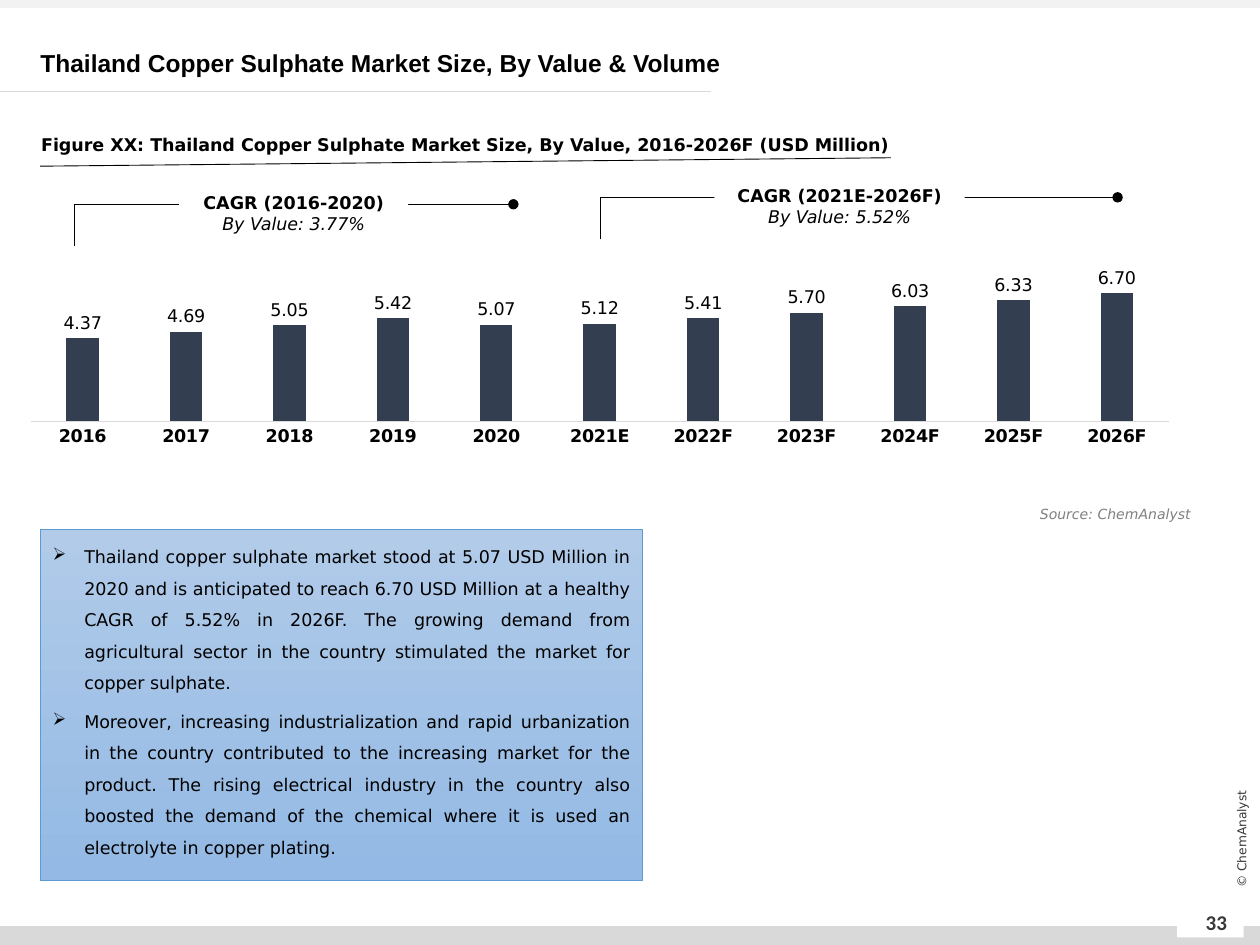
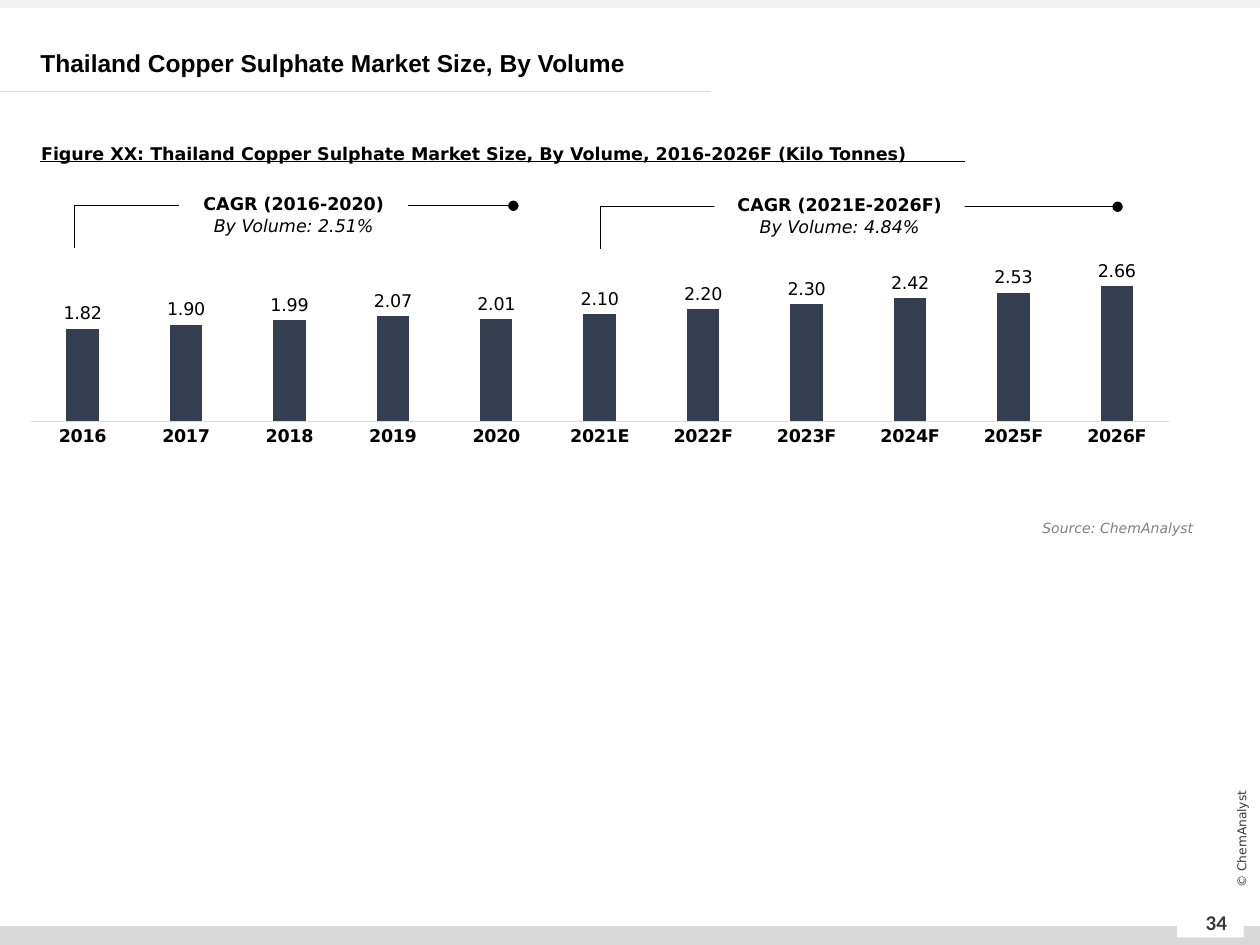
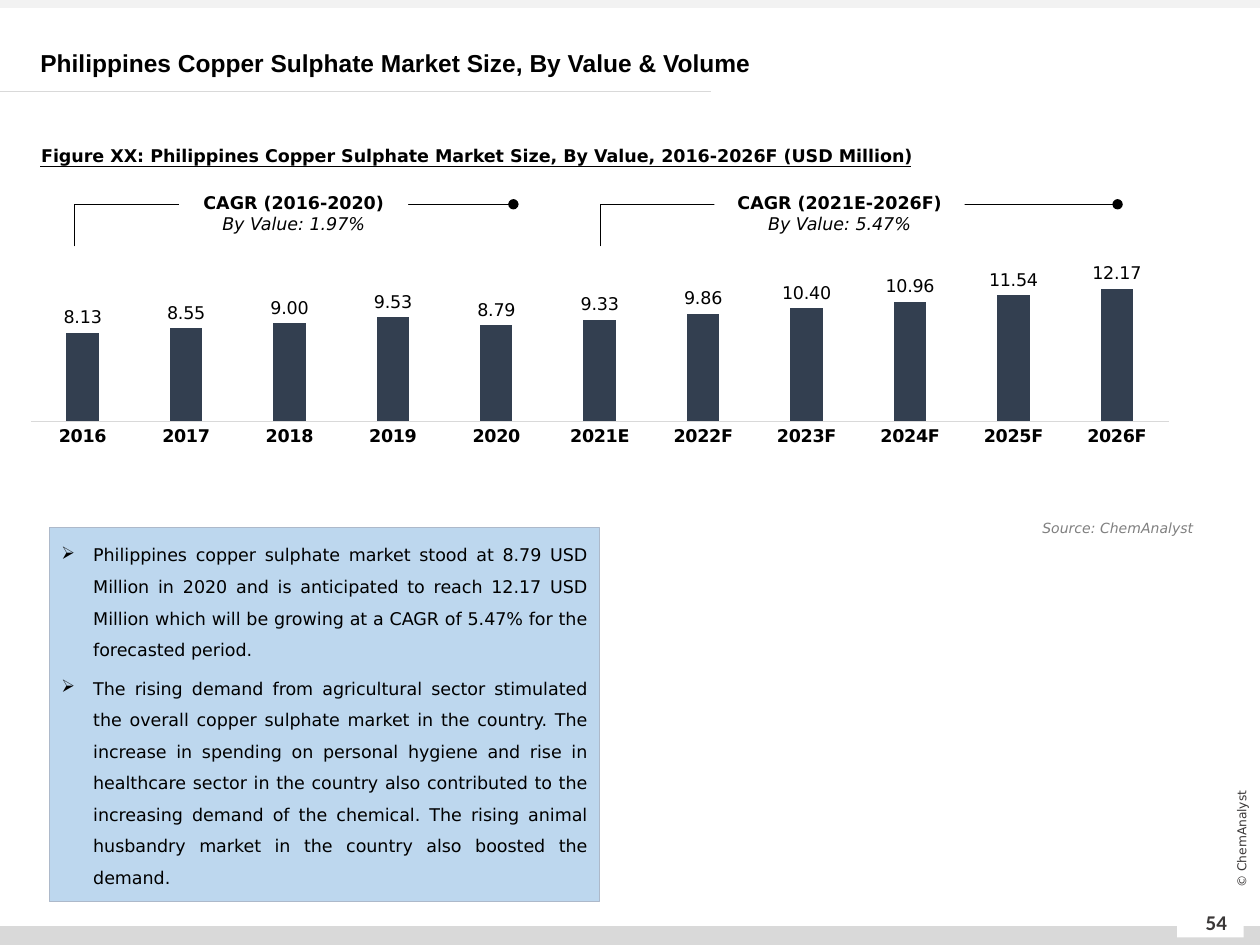
"""Build three slides on copper sulphate market size."""
from dataclasses import dataclass
from typing import Optional

from lxml.etree import SubElement
from pptx import Presentation
from pptx.chart.data import CategoryChartData
from pptx.dml.color import RGBColor
from pptx.enum.chart import XL_CHART_TYPE, XL_LABEL_POSITION, XL_TICK_MARK
from pptx.enum.shapes import MSO_CONNECTOR, MSO_SHAPE
from pptx.enum.text import MSO_ANCHOR, PP_ALIGN
from pptx.oxml import parse_xml
from pptx.oxml.ns import nsdecls, qn
from pptx.util import Cm, Pt

BLACK = RGBColor(0x00, 0x00, 0x00)
WHITE = RGBColor(0xFF, 0xFF, 0xFF)
CHARCOAL = RGBColor(0x3B, 0x38, 0x38)
GREY = RGBColor(0x80, 0x80, 0x80)
BAND_GREY = RGBColor(0xD9, 0xD9, 0xD9)
PALE_GREY = RGBColor(0xF2, 0xF2, 0xF2)
NAVY = RGBColor(0x33, 0x3F, 0x50)
SKY = RGBColor(0xBD, 0xD7, 0xEE)
SKY_EDGE = RGBColor(0xAD, 0xB9, 0xCA)
BLUE_TOP = RGBColor(0xB1, 0xCB, 0xE9)
BLUE_BOTTOM = RGBColor(0x93, 0xB9, 0xE4)
BLUE_EDGE = RGBColor(0x5B, 0x9B, 0xD5)

BODY_FONT = "DejaVu Sans"
TITLE_FONT = "Arial"
NUMBER_FONT = "Calibri"
YEARS = ["2016", "2017", "2018", "2019", "2020", "2021E",
         "2022F", "2023F", "2024F", "2025F", "2026F"]
BRACKET_HEIGHT = 0.85
LABEL_RISE = 0.55
LABEL_HEIGHT = 1.45


@dataclass(frozen=True)
class Area:
    """A rectangle in centimetres."""
    left: float
    top: float
    width: float
    height: float

    def lengths(self) -> tuple:
        """Return left, top, width and height as lengths."""
        return Cm(self.left), Cm(self.top), Cm(self.width), Cm(self.height)


@dataclass(frozen=True)
class Period:
    """A growth period with its bracket and label extents."""
    heading: str
    start: float
    end: float
    label_left: float
    label_width: float


@dataclass(frozen=True)
class Growth:
    """A growth rate shown above the bars."""
    period: Period
    rate: str
    top: float


@dataclass(frozen=True)
class Note:
    """A bulleted commentary panel."""
    area: Area
    fills: tuple
    edge: RGBColor
    points: tuple


@dataclass(frozen=True)
class MarketPage:
    """Everything that differs between the market slides."""
    number: str
    title: str
    caption: str
    caption_top: float
    rule: tuple
    values: tuple
    axis_top: float
    growths: tuple
    source: Area
    note: Optional[Note] = None


EARLY = Period("CAGR (2016-2020)", 1.5, 10.35, 3.61, 4.62)
LATE = Period("CAGR (2021E-2026F)", 12.1, 22.53, 14.4, 5.05)
LOW_SOURCE = Area(18.19, 10.34, 6.12, 0.61)

PAGES = [
    MarketPage(
        "33", "Thailand Copper Sulphate Market Size, By Value & Volume",
        "Figure XX: Thailand Copper Sulphate Market Size, By Value, 2016-2026F (USD Million)",
        2.36, (0.81, 3.35, 17.96, 3.18),
        (4.37, 4.69, 5.05, 5.42, 5.07, 5.12, 5.41, 5.7, 6.03, 6.33, 6.7), 8,
        (Growth(LATE, "By Value: 5.52%", 3.98), Growth(EARLY, "By Value: 3.77%", 4.12)),
        Area(18.14, 10.06, 6.12, 0.61),
        Note(Area(0.81, 10.67, 12.14, 7.09), (BLUE_TOP, BLUE_BOTTOM), BLUE_EDGE, (
            "Thailand copper sulphate market stood at 5.07 USD Million in 2020 and is "
            "anticipated to reach 6.70 USD Million at a healthy CAGR of 5.52% in 2026F. "
            "The growing demand from agricultural sector in the country stimulated the "
            "market for copper sulphate.",
            "Moreover, increasing industrialization and rapid urbanization in the country "
            "contributed to the increasing market for the product. The rising electrical "
            "industry in the country also boosted the demand of the chemical where it is "
            "used an electrolyte in copper plating.")),
    ),
    MarketPage(
        "34", "Thailand Copper Sulphate Market Size, By Volume",
        "Figure XX: Thailand Copper Sulphate Market Size, By Volume, 2016-2026F (Kilo Tonnes)",
        2.54, (0.81, 3.25, 19.45, 3.25),
        (1.82, 1.9, 1.99, 2.07, 2.01, 2.1, 2.2, 2.3, 2.42, 2.53, 2.66), 3,
        (Growth(LATE, "By Volume: 4.84%", 4.17), Growth(EARLY, "By Volume: 2.51%", 4.15)),
        LOW_SOURCE,
    ),
    MarketPage(
        "54", "Philippines Copper Sulphate Market Size, By Value & Volume",
        "Figure XX: Philippines Copper Sulphate Market Size, By Value, 2016-2026F (USD Million)",
        2.59, (0.81, 3.35, 18.36, 3.35),
        (8.13, 8.55, 9, 9.53, 8.79, 9.33, 9.86, 10.4, 10.96, 11.54, 12.17), 14,
        (Growth(LATE, "By Value: 5.47%", 4.12), Growth(EARLY, "By Value: 1.97%", 4.12)),
        LOW_SOURCE,
        Note(Area(0.99, 10.64, 11.1, 7.54), (SKY,), SKY_EDGE, (
            "Philippines copper sulphate market stood at 8.79 USD Million in 2020 and is "
            "anticipated to reach 12.17 USD Million which will be growing at a CAGR of "
            "5.47% for the forecasted period.",
            "The rising demand from agricultural sector stimulated the overall copper "
            "sulphate market in the country. The increase in spending on personal hygiene "
            "and rise in healthcare sector in the country also contributed to the "
            "increasing demand of the chemical. The rising animal husbandry market in the "
            "country also boosted the demand.")),
    ),
]


def write(box, text: str, *, size=10, font=BODY_FONT, color=BLACK, bold=False,
          italic=False, align=PP_ALIGN.LEFT, spacing=None, before=0, bullet=None,
          anchor=MSO_ANCHOR.TOP) -> None:
    """Add one formatted paragraph to a box."""
    frame = box.text_frame
    frame.word_wrap = True
    frame.vertical_anchor = anchor
    para = frame.paragraphs[0] if not frame.text else frame.add_paragraph()
    if bullet:
        properties = para._p.get_or_add_pPr()
        properties.set("marL", str(Cm(0.64)))
        properties.set("indent", str(-Cm(0.64)))
        SubElement(properties, qn("a:buChar")).set("char", bullet)
    para.alignment = align
    para.space_before = Pt(before)
    if spacing:
        para.line_spacing = spacing
    span = para.add_run()
    span.text = text
    span.font.size = Pt(size)
    span.font.name = font
    span.font.color.rgb = color
    span.font.bold = bold
    span.font.italic = italic


def add_box(page, area: Area):
    """Add an empty text box."""
    return page.shapes.add_textbox(*area.lengths())


def add_panel(page, area: Area, fills: tuple, edge: Optional[RGBColor] = None):
    """Add a rectangle with a plain fill or a downward gradient."""
    panel = page.shapes.add_shape(MSO_SHAPE.RECTANGLE, *area.lengths())
    panel.shadow.inherit = False
    if len(fills) > 1:
        panel.fill.gradient()
        panel.fill.gradient_angle = 270
        for stop, color in zip(panel.fill.gradient_stops, fills):
            stop.color.rgb = color
    else:
        panel.fill.solid()
        panel.fill.fore_color.rgb = fills[0]
    if edge:
        panel.line.color.rgb = edge
        panel.line.width = Pt(0.5)
    else:
        panel.line.fill.background()
    return panel


def add_line(page, ends: tuple, color: RGBColor = BLACK, kind=MSO_CONNECTOR.STRAIGHT):
    """Add a thin connector between two points."""
    line = page.shapes.add_connector(kind, *(Cm(value) for value in ends))
    line.line.color.rgb = color
    line.line.width = Pt(0.5)
    SubElement(line._element.spPr, qn("a:effectLst"))
    return line


def add_frame(page, number: str) -> None:
    """Draw the bands, title rule, page number and copyright."""
    add_panel(page, Area(0, 18.67, 25.4, 0.38), (BAND_GREY,))
    add_panel(page, Area(0, 0, 25.4, 0.16), (PALE_GREY,))
    add_panel(page, Area(23.73, 18.34, 1.34, 0.56), (WHITE,))
    add_line(page, (0, 1.84, 14.34, 1.84), BAND_GREY)
    write(add_box(page, Area(23.9, 18.08, 1.24, 1.02)), number, size=12, font=NUMBER_FONT,
          color=CHARCOAL, bold=True, align=PP_ALIGN.CENTER, anchor=MSO_ANCHOR.MIDDLE)
    copyright_box = add_box(page, Area(23.5, 16.71, 3.05, 0.41))
    copyright_box.rotation = 270
    write(copyright_box, "© ChemAnalyst", size=7, color=CHARCOAL,
          align=PP_ALIGN.CENTER, anchor=MSO_ANCHOR.MIDDLE)


def add_title(page, text: str) -> None:
    """Place and format the title placeholder."""
    title = page.shapes.title
    title.left, title.top, title.width, title.height = Area(0.56, 0.86, 24.79, 0.82).lengths()
    write(title, text, size=14, font=TITLE_FONT, bold=True, spacing=Pt(17),
          anchor=MSO_ANCHOR.MIDDLE)


def style_font(font, bold: bool = False) -> None:
    """Give chart text its font."""
    font.name = BODY_FONT
    font.size = Pt(10)
    font.bold = bold
    font.color.rgb = BLACK


def add_market_chart(page, values: tuple, axis_top: float) -> None:
    """Add the yearly column chart."""
    data = CategoryChartData(number_format="0.00")
    data.categories = YEARS
    data.add_series("Series 1", values)
    area = Area(0.61, 4.57, 22.96, 5.28)
    chart = page.shapes.add_chart(XL_CHART_TYPE.COLUMN_CLUSTERED, *area.lengths(), data).chart
    chart.has_legend = False
    chart.has_title = False
    style_font(chart.font)

    years = chart.category_axis
    years.major_tick_mark = XL_TICK_MARK.NONE
    years.format.line.color.rgb = BAND_GREY
    years.format.line.width = Pt(0.75)
    style_font(years.tick_labels.font, bold=True)
    amounts = chart.value_axis
    amounts.visible = False
    amounts.has_major_gridlines = False
    amounts.minimum_scale = 0
    amounts.maximum_scale = axis_top

    plot = chart.plots[0]
    plot.vary_by_categories = False
    plot.gap_width = 219
    plot.overlap = -27
    fill = plot.series[0].format.fill
    fill.solid()
    fill.fore_color.rgb = NAVY
    plot.has_data_labels = True
    labels = plot.data_labels
    labels.show_value = True
    labels.position = XL_LABEL_POSITION.OUTSIDE_END
    labels.number_format = "0.00"
    labels.number_format_is_linked = False
    style_font(labels.font)

    plot_area = chart._chartSpace.chart.plotArea
    for old in plot_area.findall(qn("c:layout")):
        plot_area.remove(old)
    plot_area.insert(0, parse_xml(
        f'<c:layout {nsdecls("c")}><c:manualLayout><c:layoutTarget val="inner"/>'
        '<c:xMode val="edge"/><c:yMode val="edge"/><c:x val="0"/><c:y val="0.16"/>'
        '<c:w val="1"/><c:h val="0.584"/></c:manualLayout></c:layout>'))


def add_growth(page, growth: Growth) -> None:
    """Draw a growth bracket and the label that interrupts it."""
    period = growth.period
    ends = (period.start, growth.top + BRACKET_HEIGHT, period.end, growth.top)
    bracket = add_line(page, ends, kind=MSO_CONNECTOR.ELBOW)
    properties = bracket._element.spPr
    adjustments = properties.find(qn("a:prstGeom")).get_or_add_avLst()
    guide = SubElement(adjustments, qn("a:gd"))
    guide.set("name", "adj1")
    guide.set("fmla", "val 0")
    SubElement(properties.find(qn("a:ln")), qn("a:tailEnd")).set("type", "oval")

    label = add_panel(page, Area(period.label_left, growth.top - LABEL_RISE,
                                 period.label_width, LABEL_HEIGHT), (WHITE,))
    centred = {"align": PP_ALIGN.CENTER, "anchor": MSO_ANCHOR.MIDDLE}
    write(label, period.heading, bold=True, **centred)
    write(label, growth.rate, italic=True, **centred)


def add_note(page, note: Note) -> None:
    """Draw the commentary panel."""
    panel = add_panel(page, note.area, note.fills, note.edge)
    for index, point in enumerate(note.points):
        write(panel, point, align=PP_ALIGN.JUSTIFY, spacing=1.5,
              before=4 if index else 0, bullet="➢")


def add_market_page(deck, market: MarketPage) -> None:
    """Build one market slide."""
    page = deck.slides.add_slide(deck.slide_layouts[5])
    add_frame(page, market.number)
    add_title(page, market.title)
    write(add_box(page, Area(0.58, market.caption_top, 22.4, 0.82)), market.caption,
          bold=True, spacing=1.5)
    add_line(page, market.rule)
    add_market_chart(page, market.values, market.axis_top)
    for growth in market.growths:
        add_growth(page, growth)
    write(add_box(page, market.source), "Source: ChemAnalyst", size=8, color=GREY,
          italic=True, align=PP_ALIGN.RIGHT)
    if market.note:
        add_note(page, market.note)


def main() -> None:
    """Build and save the deck."""
    deck = Presentation()
    deck.slide_width = Cm(25.4)
    deck.slide_height = Cm(19.05)
    for market in PAGES:
        add_market_page(deck, market)
    deck.save("out.pptx")


if __name__ == "__main__":
    main()
